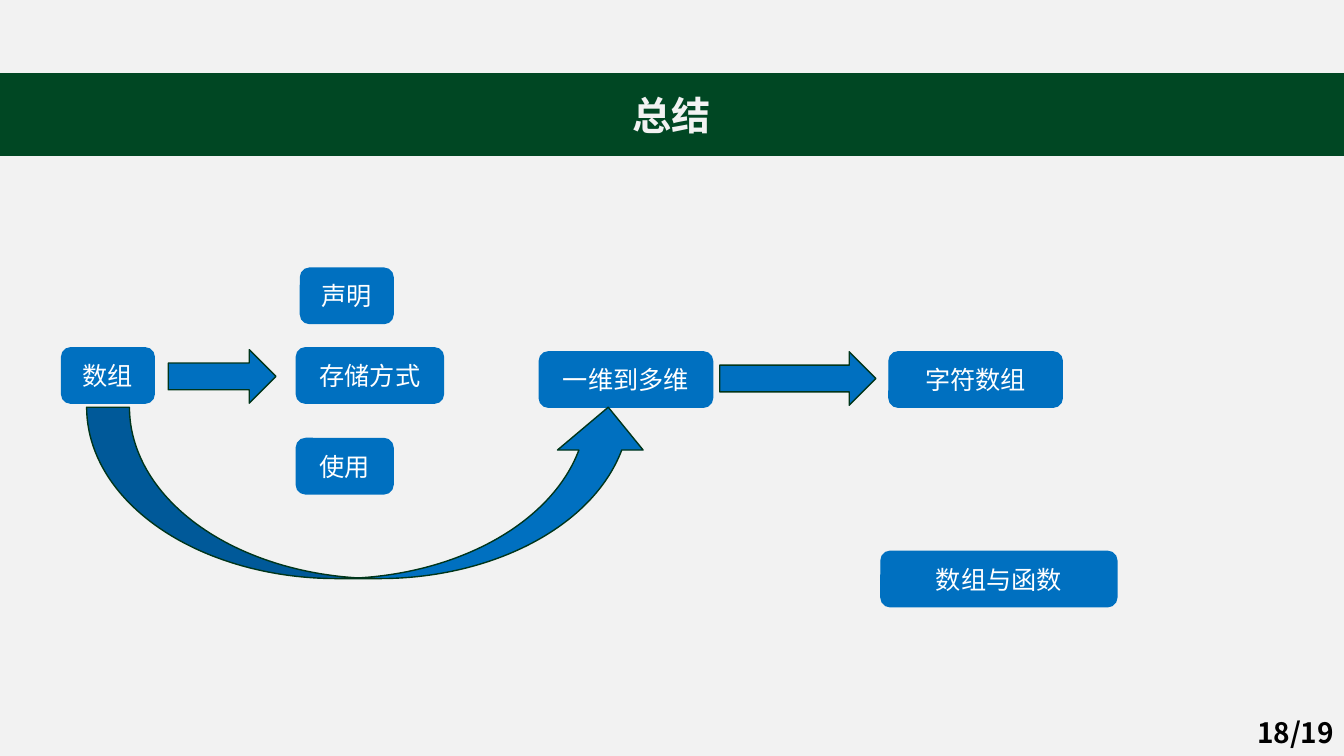
from dataclasses import dataclass

from lxml.etree import SubElement
from pptx import Presentation
from pptx.dml.color import RGBColor
from pptx.enum.shapes import MSO_SHAPE as Preset
from pptx.enum.text import MSO_ANCHOR as Anchor, PP_ALIGN as Align
from pptx.oxml.ns import qn
from pptx.util import Pt

TITLE = "总结"
PAGE_NUMBER = "18/19"

TOPICS = [
    ("数组", 44, 248.4, 66.2),
    ("声明", 214.6, 191.5, 66.2),
    ("存储方式", 211.7, 248.4, 105.1),
    ("使用", 211.7, 313.2, 69.1),
    ("一维到多维", 385.2, 251.3, 123.8),
    ("字符数组", 635, 251.3, 123.8),
    ("数组与函数", 629.3, 393.8, 168.5),
]
TOPIC_HEIGHT = 39.6

ARROWS = [
    (Preset.RIGHT_ARROW, 120.2, 249.8, 77, 38.2),
    (Preset.CURVED_UP_ARROW, 61.9, 290.9, 403.2, 122.4),
    (Preset.RIGHT_ARROW, 514.1, 251.3, 111.6, 38.2),
]


@dataclass(frozen=True)
class Theme:
    font: str = "Noto Sans CJK SC"
    background: str = "F2F2F2"
    banner: str = "004723"
    topic: str = "0070C0"
    arrow_line: str = "00351A"
    topic_text: str = "FFFFFF"
    page_text: str = "000000"
    title_size: int = 28
    topic_size: int = 18
    page_size: int = 20


THEME = Theme()
WIDTH, HEIGHT = 960, 540
PAGE_WIDTH, PAGE_HEIGHT, PAGE_TOP = 216, 28.8, 509


def color(value):
    return RGBColor.from_string(value)


def write(shape, text, size, text_color, bold=False, align=Align.CENTER):
    frame = shape.text_frame
    frame.text = text
    frame.word_wrap = True
    frame.vertical_anchor = Anchor.MIDDLE
    paragraph = frame.paragraphs[0]
    paragraph.alignment = align
    font = paragraph.runs[0].font
    font.name, font.size, font.bold = THEME.font, Pt(size), bold
    font.color.rgb = color(text_color)
    run_properties = paragraph.runs[0]._r.get_or_add_rPr()
    SubElement(run_properties, qn("a:ea")).set("typeface", THEME.font)


def add_block(slide, preset, left, top, width, height, fill, line):
    shape = slide.shapes.add_shape(preset, Pt(left), Pt(top), Pt(width), Pt(height))
    shape.shadow.inherit = False
    shape.fill.solid()
    shape.fill.fore_color.rgb = color(fill)
    shape.line.color.rgb = color(line)
    shape.line.width = Pt(1)
    return shape


def main():
    presentation = Presentation()
    presentation.slide_width, presentation.slide_height = Pt(WIDTH), Pt(HEIGHT)
    slide = presentation.slides.add_slide(presentation.slide_layouts[6])
    slide.background.fill.solid()
    slide.background.fill.fore_color.rgb = color(THEME.background)

    banner = add_block(slide, Preset.RECTANGLE, 0, 53, WIDTH, 58,
                       THEME.banner, THEME.banner)
    write(banner, TITLE, THEME.title_size, THEME.background, bold=True)

    for label, left, top, width in TOPICS:
        topic = add_block(slide, Preset.ROUNDED_RECTANGLE, left, top, width,
                          TOPIC_HEIGHT, THEME.topic, THEME.topic)
        write(topic, label, THEME.topic_size, THEME.topic_text)

    for preset, left, top, width, height in ARROWS:
        add_block(slide, preset, left, top, width, height,
                  THEME.topic, THEME.arrow_line)

    page = slide.shapes.add_textbox(Pt(WIDTH - PAGE_WIDTH), Pt(PAGE_TOP),
                                    Pt(PAGE_WIDTH), Pt(PAGE_HEIGHT))
    write(page, PAGE_NUMBER, THEME.page_size, THEME.page_text, bold=True,
          align=Align.RIGHT)

    presentation.save("out.pptx")


if __name__ == "__main__":
    main()
